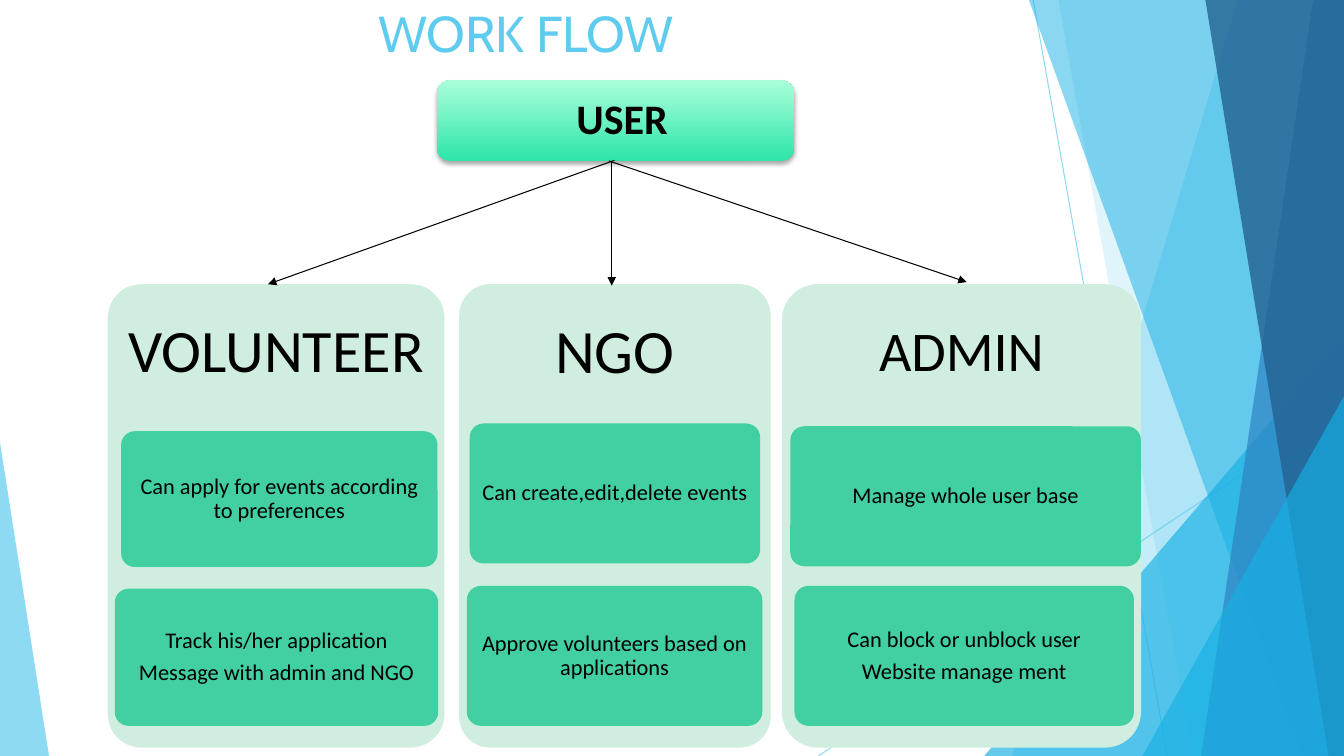
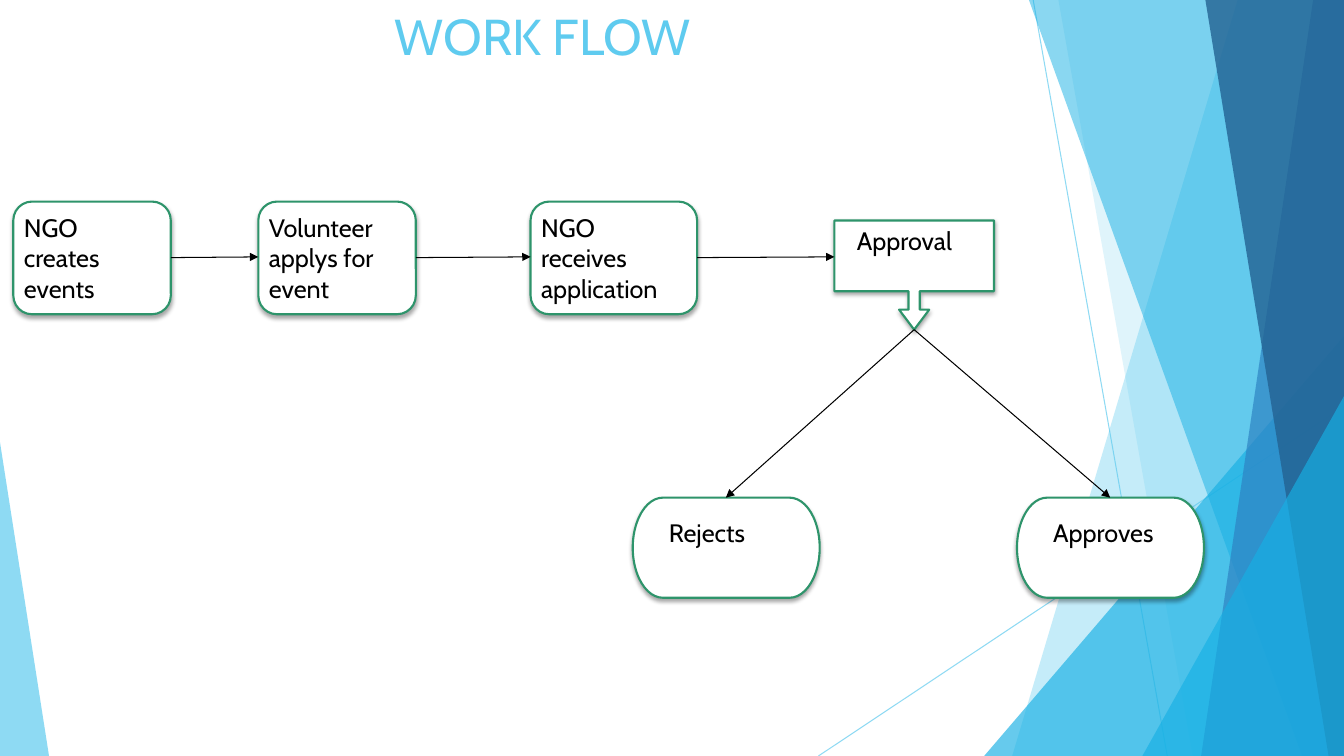
import lxml.etree
import pptx
import pptx.dml.color
import pptx.enum.shapes
import pptx.enum.text
import pptx.oxml.ns
import pptx.util

Pt = pptx.util.Pt
qn = pptx.oxml.ns.qn
KIND = pptx.enum.shapes.MSO_SHAPE
ALIGN = pptx.enum.text.PP_ALIGN
ANCHOR = pptx.enum.text.MSO_ANCHOR

WIDE, HIGH = 960, 540
HEAD, BODY = "Cabin", "Calibri"
COLOR = {
    "black": "000000", "white": "FFFFFF", "sky": "5FCBEF", "azure": "17B0E4",
    "blue": "2E83C3", "navy": "236292", "pale": "CFEEE0", "green": "42D0A2",
    "edge": "2E946B", "deep": "2DE5A9", "mint": "AAFFDA",
}

# Background facets: fill, opacity in percent, corner points
FACETS = [
    ("sky", 36, [(884.2, 0), (WIDE, 0), (WIDE, HIGH), (722.9, HIGH)]),
    ("sky", 20, [(756, 0), (WIDE, 0), (WIDE, HIGH), (851.8, HIGH)]),
    ("azure", 66, [(703.4, HIGH), (WIDE, 239.8), (WIDE, HIGH)]),
    ("azure", 50, [(735.1, 0), (WIDE, 0), (WIDE, HIGH), (929.5, HIGH)]),
    ("blue", 70, [(938.2, 0), (WIDE, 0), (WIDE, HIGH), (858.2, HIGH)]),
    ("navy", 80, [(861.1, 0), (WIDE, 0), (WIDE, HIGH), (949, HIGH)]),
    ("azure", 66, [(816.5, HIGH), (WIDE, 283), (WIDE, HIGH)]),
    ("sky", 70, [(0, HIGH), (0, 316), (35.3, HIGH)]),
]
RAYS = [((738, 0), (833.8, HIGH)), ((WIDE, 290.2), (584.6, HIGH))]

# Roles: name, size, left, width, then the cards as place and lines
ROLES = [
    ("VOLUNTEER", 43, 77, 240.5, [
        ((86.5, 308, 226, 97),
         ["Can apply for events according to preferences"]),
        ((82, 420.5, 231, 98),
         ["Track his/her application", "Message with admin and NGO"])]),
    ("NGO", 44, 328, 222.5, [
        ((335.5, 302.5, 207.5, 100), ["Can create,edit,delete events"]),
        ((333.5, 418.5, 211, 100),
         ["Approve volunteers based on applications"])]),
    ("ADMIN", 40, 558.5, 256.5, [
        ((564.5, 304.5, 250.5, 100), ["Manage whole user base"]),
        ((567.5, 418.5, 242.5, 100),
         ["Can block or unblock user", "Website manage ment"])]),
]
ROLE_TOP, ROLE_HIGH, NAME_HIGH = 203, 331, 99

# Steps: left, width, text with forced line breaks
STEPS = [
    (9.5, 112.5, "NGO\ncreates events"),
    (184.5, 112.5, "Volunteer applys for event"),
    (379, 119, "NGO\nreceives application"),
]
ENDS = [(452, "Rejects"), (726.5, "Approves")]


def rgb(name):
    return pptx.dml.color.RGBColor.from_string(COLOR[name])


def fade(props, pct):
    """Set the opacity of the first plain colour under props."""
    tone = next(props.iter(qn("a:srgbClr")))
    lxml.etree.SubElement(tone, qn("a:alpha"), val=str(pct * 1000))


def write(shape, lines, size, font, color="black", bold=False,
          align=ALIGN.LEFT, anchor=ANCHOR.MIDDLE, left=3.6, pad=3.6,
          lead=None):
    frame = shape.text_frame
    frame.word_wrap = True
    frame.vertical_anchor = anchor
    frame.margin_left = Pt(left)
    frame.margin_right = frame.margin_top = frame.margin_bottom = Pt(pad)
    for i, line in enumerate(lines):
        para = frame.paragraphs[0] if i == 0 else frame.add_paragraph()
        para.alignment = align
        if lead:
            para.line_spacing = lead
        if i:
            para.space_before = Pt(0.35 * size)
        for j, part in enumerate(line.split("\n")):
            if j:
                para.add_line_break()
            run = para.add_run()
            run.text = part
            run.font.size = Pt(size)
            run.font.name = font
            run.font.bold = bold
            run.font.color.rgb = rgb(color)


def block(slide, kind, place, fill, edge=None, adj=()):
    shape = slide.shapes.add_shape(kind, *map(Pt, place))
    shape.shadow.inherit = False
    shape.fill.solid()
    shape.fill.fore_color.rgb = rgb(fill)
    if edge:
        shape.line.color.rgb = rgb(edge)
        shape.line.width = Pt(1.5)
    else:
        shape.line.fill.background()
    for i, value in enumerate(adj):
        shape.adjustments[i] = value
    return shape


def shade(shape):
    """Cast a soft shadow straight down."""
    fx = shape._element.spPr.find(qn("a:effectLst"))
    cast = lxml.etree.SubElement(
        fx, qn("a:outerShdw"), blurRad=str(Pt(3)), dist=str(Pt(2)),
        dir="5400000", algn="ctr", rotWithShape="0")
    lxml.etree.SubElement(cast, qn("a:srgbClr"), val=COLOR["black"])
    fade(cast, 35)


def line(slide, start, end, color="black"):
    link = slide.shapes.add_connector(
        pptx.enum.shapes.MSO_CONNECTOR.STRAIGHT, *map(Pt, start + end))
    link.line.color.rgb = rgb(color)
    link.line.width = Pt(0.75)
    lxml.etree.SubElement(link._element.spPr, qn("a:effectLst"))
    return link


def arrow(slide, start, end):
    link = line(slide, start, end)
    stroke = link._element.spPr.find(qn("a:ln"))
    lxml.etree.SubElement(stroke, qn("a:tailEnd"), type="triangle")


def facet(slide, color, pct, dots):
    pen = slide.shapes.build_freeform(*dots[0], scale=Pt(1))
    pen.add_line_segments(dots[1:], close=True)
    shape = pen.convert_to_shape()
    shape.shadow.inherit = False
    shape.fill.solid()
    shape.fill.fore_color.rgb = rgb(color)
    shape.line.fill.background()
    fade(shape._element.spPr, pct)


def label(slide, place, lines, size, font, **style):
    box = slide.shapes.add_textbox(*map(Pt, place))
    write(box, lines, size, font, **style)


def page(deck, left, top):
    """Add a slide with the backdrop and its title."""
    slide = deck.slides.add_slide(deck.slide_layouts[6])
    for start, end in RAYS:
        fade(line(slide, start, end, "sky")._element.spPr, 70)
    for color, pct, dots in FACETS:
        facet(slide, color, pct, dots)
    label(slide, (left, top, 400, 54), ["WORK FLOW"], 36, HEAD,
          color="sky", anchor=ANCHOR.TOP)
    return slide


def role(slide, name, size, left, width, cards):
    block(slide, KIND.ROUNDED_RECTANGLE, (left, ROLE_TOP, width, ROLE_HIGH),
          "pale", adj=[0.1])
    label(slide, (left, ROLE_TOP, width, NAME_HIGH), [name], size, BODY,
          align=ALIGN.CENTER, lead=0.9)
    for place, lines in cards:
        card = block(slide, KIND.ROUNDED_RECTANGLE, place, "green", adj=[0.1])
        write(card, lines, 16, BODY, align=ALIGN.CENTER, lead=0.9)


def user(slide):
    box = block(slide, KIND.ROUNDED_RECTANGLE, (312, 57.5, 255.5, 57.5),
                "mint")
    box.fill.gradient()
    box.fill.gradient_angle = 90
    for stop, tone in zip(box.fill.gradient_stops, ("deep", "mint")):
        stop.color.rgb = rgb(tone)
    shade(box)
    write(box, ["USER"], 30, BODY, bold=True, left=97, lead=0.9)


def node(slide, kind, place, text, adj=(), **style):
    shape = block(slide, kind, place, "white", "edge", adj)
    shade(shape)
    write(shape, [text], 18, HEAD, **style)


def roles(deck):
    slide = page(deck, 266.5, -2)
    for item in ROLES:
        role(slide, *item)
    user(slide)
    arrow(slide, (435, 115), (690.5, 201.5))
    arrow(slide, (437, 115), (437, 204))
    arrow(slide, (439, 114.5), (191.5, 203))


def steps(deck):
    slide = page(deck, 278.5, 0)
    for left, width, text in STEPS:
        node(slide, KIND.ROUNDED_RECTANGLE, (left, 144, width, 80.5), text)
    node(slide, KIND.DOWN_ARROW_CALLOUT, (596, 157.5, 114, 78), "Approval",
         adj=[0.103, 0.138, 0.183, 0.648], anchor=ANCHOR.TOP, left=16)
    for left, text in ENDS:
        node(slide, KIND.FLOWCHART_TERMINATOR, (left, 355.5, 133.5, 71.5),
             text, anchor=ANCHOR.TOP, left=19.5)
        arrow(slide, (653, 235.5), (left + 66.5, 355.5))
    stops = [left for left, _, _ in STEPS[1:]] + [596]
    for (left, width, _), stop in zip(STEPS, stops):
        arrow(slide, (left + width, 184), (stop, 183.5))


def main():
    deck = pptx.Presentation()
    deck.slide_width, deck.slide_height = Pt(WIDE), Pt(HIGH)
    roles(deck)
    steps(deck)
    deck.save("out.pptx")


if __name__ == "__main__":
    main()
